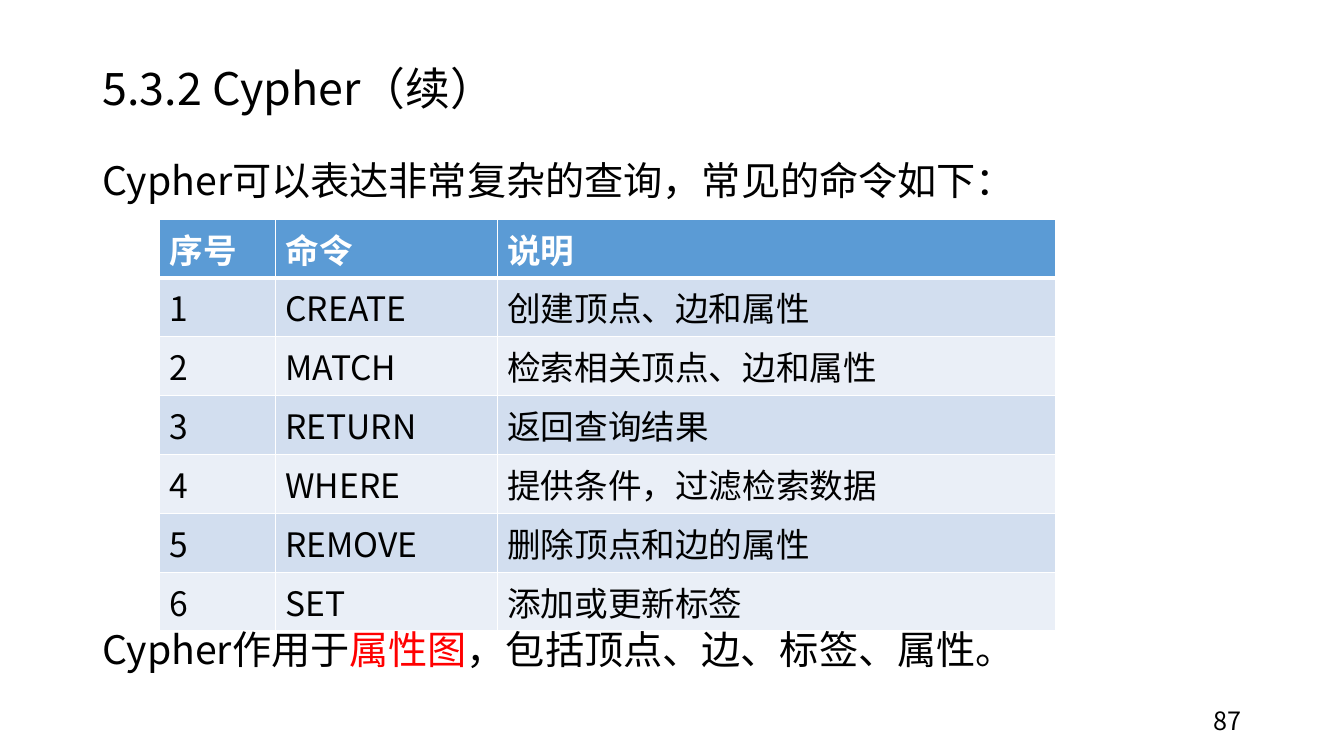
from dataclasses import dataclass
from lxml.etree import SubElement
from pptx import Presentation
from pptx.dml.color import RGBColor
from pptx.enum.text import MSO_ANCHOR, MSO_AUTO_SIZE, PP_ALIGN
from pptx.oxml.ns import qn
from pptx.util import Cm, Pt


@dataclass(frozen=True)
class Theme:
    font: str = "Noto Sans CJK SC"
    black: str = "000000"
    white: str = "FFFFFF"
    red: str = "FF0000"
    head: str = "5B9BD5"
    bands: tuple = ("EAEFF7", "D2DEEF")
    title: int = 32
    body: int = 28
    cell: int = 24
    page: int = 18


theme = Theme()


def style(para, size, color=theme.black, bold=False):
    for run in para.runs:
        font = run.font
        font.size, font.bold, font.name = Pt(size), bold, theme.font
        font.color.rgb = RGBColor.from_string(color)
        SubElement(run._r.get_or_add_rPr(), qn("a:ea"), typeface=theme.font)


def place(shape, left, top, width, height, anchor):
    shape.left, shape.top = Cm(left), Cm(top)
    shape.width, shape.height = Cm(width), Cm(height)
    frame = shape.text_frame
    frame.word_wrap = True
    frame.auto_size = MSO_AUTO_SIZE.NONE
    frame.vertical_anchor = anchor
    return frame


deck = Presentation()
deck.slide_width, deck.slide_height = Cm(33.87), Cm(19.05)
slide = deck.slides.add_slide(deck.slide_layouts[1])
left, width = 2.33, 29.21

# Title
frame = place(slide.shapes.title, left, 1.01, width, 2.57, MSO_ANCHOR.MIDDLE)
frame.text = "5.3.2 Cypher（续）"
para = frame.paragraphs[0]
para.alignment = PP_ALIGN.LEFT
para.line_spacing = 0.9
style(para, theme.title)

# Lead sentence
frame = place(slide.placeholders[1], left, 3.58, width, 1.95, MSO_ANCHOR.TOP)
frame.text = "Cypher可以表达非常复杂的查询，常见的命令如下："
para = frame.paragraphs[0]
props = para._p.get_or_add_pPr()
props.set("marL", "0")
props.set("indent", "0")
SubElement(props, qn("a:buNone"))
para.line_spacing = 1.2
para.space_before = Pt(0)
style(para, theme.body)

# Command table
rows = [
    ("序号", "命令", "说明"),
    ("1", "CREATE", "创建顶点、边和属性"),
    ("2", "MATCH", "检索相关顶点、边和属性"),
    ("3", "RETURN", "返回查询结果"),
    ("4", "WHERE", "提供条件，过滤检索数据"),
    ("5", "REMOVE", "删除顶点和边的属性"),
    ("6", "SET", "添加或更新标签"),
]
high = 1.04
table = slide.shapes.add_table(
    len(rows), 3, Cm(4.02), Cm(5.52), Cm(22.58), Cm(high * len(rows))).table
for col, span in zip(table.columns, (2.92, 5.59, 14.07)):
    col.width = Cm(span)
for i, row in enumerate(rows):
    table.rows[i].height = Cm(high)
    for j, text in enumerate(row):
        cell = table.cell(i, j)
        cell.text = text
        style(cell.text_frame.paragraphs[0], theme.cell,
              theme.black if i else theme.white, bold=i == 0)
        # White rules, thick under the header
        props = cell._tc.get_or_add_tcPr()
        for side in "LRTB":
            thick = (i, side) in ((0, "B"), (1, "T"))
            line = SubElement(props, qn("a:ln" + side), w=str(Pt(3 if thick else 1)))
            fill = SubElement(line, qn("a:solidFill"))
            SubElement(fill, qn("a:srgbClr"), val=theme.white)
        cell.fill.solid()
        cell.fill.fore_color.rgb = RGBColor.from_string(
            theme.bands[i % 2] if i else theme.head)

# Closing sentence
box = slide.shapes.add_textbox(0, 0, 0, 0)
frame = place(box, left, 15.39, width, 1.95, MSO_ANCHOR.TOP)
para = frame.paragraphs[0]
for text in ("Cypher作用于", "属性图", "，包括顶点、边、标签、属性。"):
    para.add_run().text = text
para.line_spacing = 1.2
style(para, theme.body)
para.runs[1].font.color.rgb = RGBColor.from_string(theme.red)

# Page number
box = slide.shapes.add_textbox(0, 0, 0, 0)
frame = place(box, 23.92, 17.66, 7.62, 1.01, MSO_ANCHOR.MIDDLE)
frame.text = "87"
para = frame.paragraphs[0]
para.alignment = PP_ALIGN.RIGHT
style(para, theme.page)

deck.save("out.pptx")
